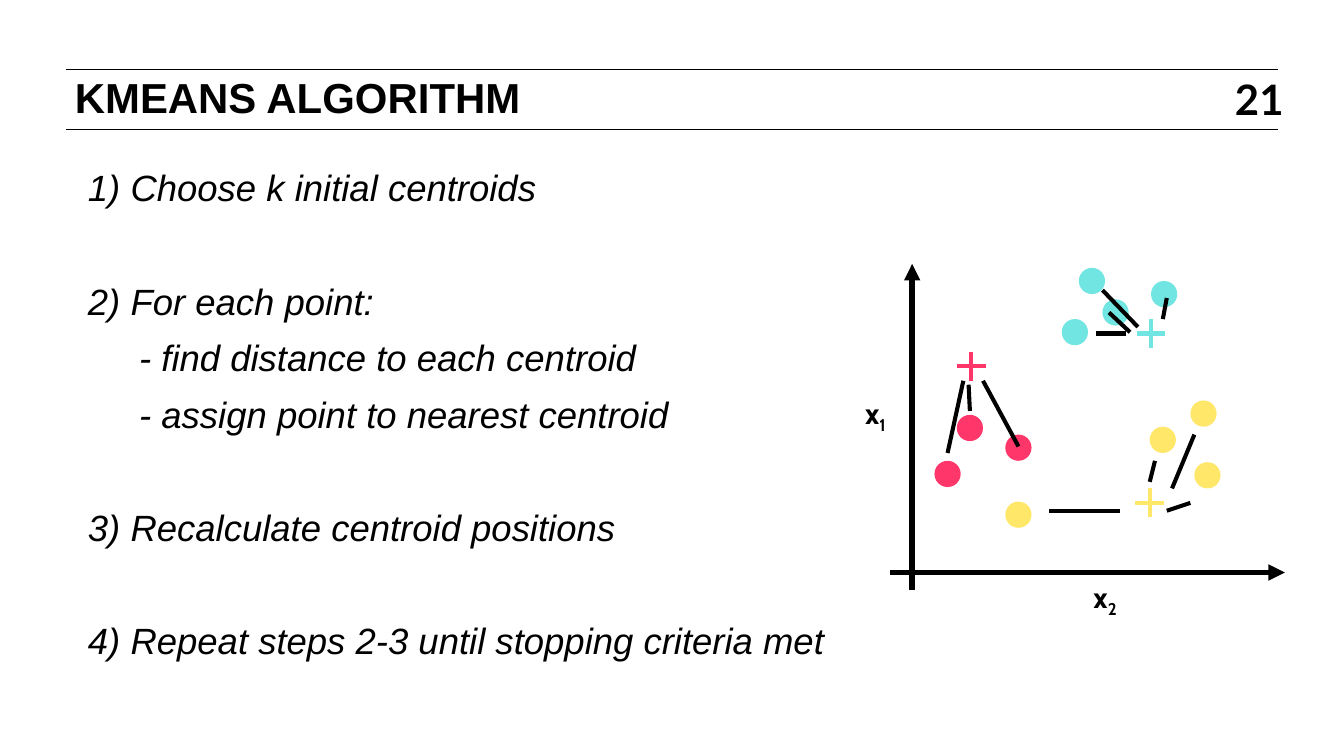
from lxml import etree
from pptx import Presentation
from pptx import util as u
from pptx.dml.color import RGBColor
from pptx.enum import shapes, text
from pptx.oxml.ns import qn

BLACK = RGBColor(0x00, 0x00, 0x00)
PINK = RGBColor(0xFF, 0x36, 0x69)
CYAN = RGBColor(0x70, 0xE5, 0xE1)
YELLOW = RGBColor(0xFF, 0xE7, 0x6A)

POINT_SIZE = 0.2
CROSS_ARM = 0.11
LINK_WIDTH = 2.25
AXIS_WIDTH = 3
SUBSTEP_INDENT = 0.39

STEPS = [
    ("1) Choose k initial centroids", 0, 0),
    ("2) For each point:", 0, 38),
    ("- find distance to each centroid", SUBSTEP_INDENT, 7),
    ("- assign point to nearest centroid", SUBSTEP_INDENT, 7),
    ("3) Recalculate centroid positions", 0, 38),
    ("4) Repeat steps 2-3 until stopping criteria met", 0, 38),
]

CLUSTERS = [
    (PINK, (7.4, 2.79),
     [(7.29, 3.16), (7.66, 3.31), (7.12, 3.51)],
     [(7.38, 2.93, 7.39, 3.13), (7.34, 2.9, 7.22, 3.45), (7.49, 2.9, 7.76, 3.4)]),
    (CYAN, (8.77, 2.54),
     [(8.09, 2.43), (8.4, 2.28), (8.22, 2.04), (8.77, 2.14)],
     [(8.4, 2.21, 8.67, 2.49), (8.45, 2.38, 8.61, 2.53),
      (8.89, 2.27, 8.86, 2.43), (8.58, 2.54, 8.35, 2.54)]),
    (YELLOW, (8.76, 3.83),
     [(9.07, 3.05), (8.76, 3.25), (9.1, 3.52), (7.66, 3.82)],
     [(8.53, 3.89, 7.99, 3.89), (8.8, 3.51, 8.76, 3.67),
      (9.1, 3.31, 8.93, 3.72), (9.07, 3.83, 8.89, 3.89)]),
]


def place(box, left, top, width, height, inset):
    box.left, box.top = u.Inches(left), u.Inches(top)
    box.width, box.height = u.Inches(width), u.Inches(height)
    frame = box.text_frame
    frame.auto_size = text.MSO_AUTO_SIZE.NONE
    frame.word_wrap = True
    frame.vertical_anchor = text.MSO_ANCHOR.TOP
    frame.margin_left = frame.margin_right = u.Inches(inset)
    frame.margin_top = frame.margin_bottom = u.Inches(inset)
    return frame


def add_span(para, words, font, size, bold=False, italic=False):
    span = para.add_run()
    span.text = words
    span.font.name = font
    span.font.size = u.Pt(size)
    span.font.bold = bold
    span.font.italic = italic
    span.font.color.rgb = BLACK
    return span


def add_line(page, x1, y1, x2, y2, color, width, arrow=False):
    line = page.shapes.add_connector(
        shapes.MSO_CONNECTOR.STRAIGHT,
        u.Inches(x1), u.Inches(y1), u.Inches(x2), u.Inches(y2))
    line.line.color.rgb = color
    line.line.width = u.Pt(width)
    properties = line._element.spPr
    if arrow:
        stroke = properties.find(qn("a:ln"))
        etree.SubElement(stroke, qn("a:tailEnd"), type="triangle")
    etree.SubElement(properties, qn("a:effectLst"))


def add_point(page, left, top, color):
    point = page.shapes.add_shape(
        shapes.MSO_SHAPE.OVAL, u.Inches(left), u.Inches(top),
        u.Inches(POINT_SIZE), u.Inches(POINT_SIZE))
    point.shadow.inherit = False
    point.fill.solid()
    point.fill.fore_color.rgb = color
    point.line.fill.background()


def add_centroid(page, x, y, color):
    add_line(page, x - CROSS_ARM, y, x + CROSS_ARM, y, color, LINK_WIDTH)
    add_line(page, x, y - CROSS_ARM, x, y + CROSS_ARM, color, LINK_WIDTH)


def add_axis_label(page, left, top, index):
    box = page.shapes.add_textbox(0, 0, 0, 0)
    para = place(box, left, top, 0.44, 0.41, 0.05).paragraphs[0]
    para.alignment = text.PP_ALIGN.CENTER
    add_span(para, "x", "Cabin", 16, bold=True)
    subscript = add_span(para, index, "Cabin", 16, bold=True)
    subscript._r.get_or_add_rPr().set("baseline", "-25000")


def add_heading(page):
    for y in (0.53, 0.99):
        add_line(page, 0.5, y, 9.74, y, BLACK, 0.5)

    number = page.shapes.add_textbox(0, 0, 0, 0)
    frame = place(number, 9.4, 0.56, 0.39, 0.38, 0)
    frame.word_wrap = False
    frame.vertical_anchor = text.MSO_ANCHOR.MIDDLE
    frame.paragraphs[0].alignment = text.PP_ALIGN.CENTER
    add_span(frame.paragraphs[0], "21", "Lato", 23, bold=True)

    para = place(page.shapes.title, 0.51, 0.55, 8.61, 1.11, 0.06).paragraphs[0]
    para.alignment = text.PP_ALIGN.LEFT
    para.line_spacing = u.Pt(23)
    add_span(para, "KMEANS ALGORITHM", "Arial", 23, bold=True)


def add_steps(page):
    frame = place(page.placeholders[1], 0.62, 1.21, 6.03, 3.96, 0.05)
    for number, (words, indent, gap) in enumerate(STEPS):
        para = frame.add_paragraph() if number else frame.paragraphs[0]
        para.line_spacing = u.Pt(24)
        para.space_before = u.Pt(gap)
        layout = para._p.get_or_add_pPr()
        layout.set("marL", str(u.Inches(indent)))
        layout.set("indent", "0")
        etree.SubElement(layout, qn("a:buNone"))
        add_span(para, words, "Arial", 20, italic=True)


def add_plot(page):
    add_line(page, 6.95, 4.49, 6.95, 2.01, BLACK, AXIS_WIDTH, arrow=True)
    add_line(page, 6.78, 4.36, 9.79, 4.36, BLACK, AXIS_WIDTH, arrow=True)
    for color, centroid, points, links in CLUSTERS:
        for point in points:
            add_point(page, *point, color)
        add_centroid(page, *centroid, color)
        for link in links:
            add_line(page, *link, BLACK, LINK_WIDTH)
    add_axis_label(page, 6.45, 2.96, "1")
    add_axis_label(page, 8.2, 4.36, "2")


def main():
    deck = Presentation()
    deck.slide_width = u.Inches(10.24)
    deck.slide_height = u.Inches(5.75)
    page = deck.slides.add_slide(deck.slide_layouts[1])
    add_heading(page)
    add_steps(page)
    add_plot(page)
    deck.save("out.pptx")


if __name__ == "__main__":
    main()
